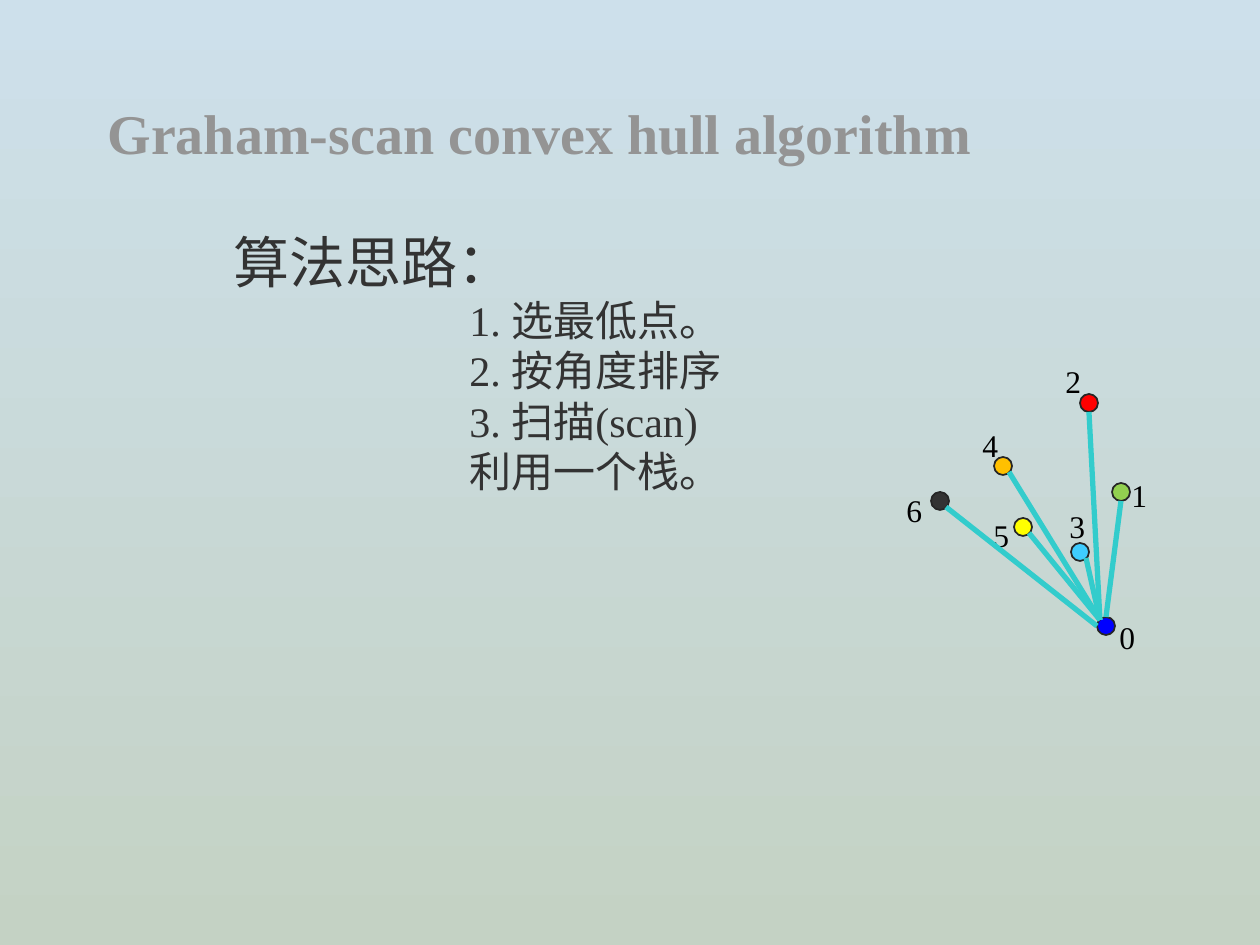
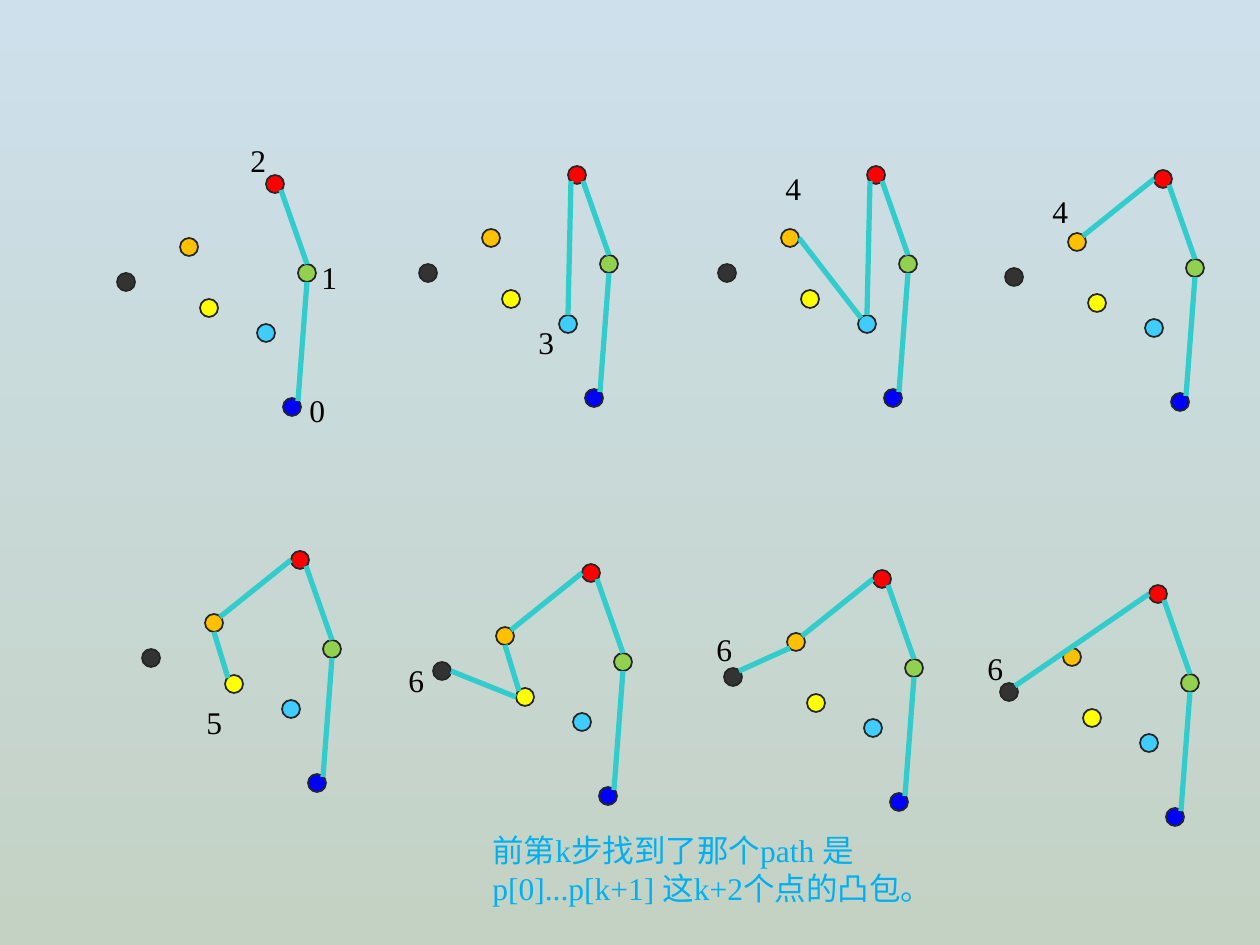
from pptx import Presentation, util as u
from pptx.dml.color import RGBColor
from pptx.enum import shapes, text
from pptx.oxml.ns import qn
from lxml import etree

SKY, SAGE = RGBColor(0xCD, 0xE0, 0xEB), RGBColor(0xC4, 0xD2, 0xC4)
GREY, INK, BLACK = RGBColor(0x94, 0x94, 0x94), RGBColor(0x33, 0x33, 0x33), RGBColor(0, 0, 0)
OUTLINE, TEAL = RGBColor(0x26, 0x26, 0x26), RGBColor(0x33, 0xCC, 0xCC)
NOTE_BLUE = RGBColor(0x00, 0xB0, 0xF0)
FONT = "Times New Roman"
SCALE = 914400 / 126

DOT = 18
DOTS = [
    (166, 223, RGBColor(0x00, 0x00, 0xFF)),
    (181, 89, RGBColor(0x92, 0xD0, 0x50)),
    (149, 0, RGBColor(0xFF, 0x00, 0x00)),
    (140, 149, RGBColor(0x3F, 0xCD, 0xFF)),
    (63, 63, RGBColor(0xFF, 0xC0, 0x00)),
    (83, 124, RGBColor(0xFF, 0xFF, 0x00)),
    (0, 98, INK),
]
RIM = {"t": (9, 0), "tl": (3, 3), "l": (0, 9), "bl": (3, 15),
       "b": (9, 18), "br": (15, 15), "r": (18, 9), "tr": (15, 3)}

E01, E12 = (0, "tr", 1, "b"), (1, "t", 2, "br")
E32, E34 = (3, "t", 2, "bl"), (3, "tl", 4, "r")
E42, E45 = (4, "tr", 2, "l"), (4, "b", 5, "tl")
E65, E64, E62 = (6, "r", 5, "l"), (6, "tr", 4, "bl"), (6, "tr", 2, "l")

FAN_EDGES = [(0, "t", 1, "b"), (0, "tl", 2, "b"), (0, "tl", 3, "br"),
             (0, "tl", 4, "br"), (0, "tl", 5, "br"), (0, "l", 6, "br")]
FAN_LABELS = {"0": (176, 218), "1": (188, 76), "2": (122, -38), "3": (126, 107),
              "4": (39, 26), "5": (50, 116), "6": (-37, 91)}
SCAN_STEPS = [
    (117, 175, [], {"0": (180, 210), "1": (192, 77), "2": (121, -40)}),
    (419, 166, [E32], {"3": (107, 151)}),
    (718, 166, [E32, E34], {"4": (55, -3)}),
    (1005, 170, [E42], {"4": (35, 16)}),
    (142, 551, [E42, E45], {"5": (52, 146)}),
    (433, 564, [E42, E45, E65], {"6": (-37, 91)}),
    (724, 570, [E42, E64], {"6": (-20, 54)}),
    (1000, 585, [E62], {"6": (-25, 58)}),
]
IDEAS = ["1. 选最低点。", "2. 按角度排序", "3. 扫描(scan)", "利用一个栈。"]


def px(*lengths):
    """Turn px lengths into EMU."""
    return [u.Emu(round(n * SCALE)) for n in lengths]


def style(p, size, color, bold=False):
    """Format the font of a paragraph."""
    for name, value in {"name": FONT, "size": u.Pt(size), "bold": bold}.items():
        setattr(p.font, name, value)
    p.font.color.rgb = color


def add_text(s, box, lines, size, color):
    """Add a wrapping text box and return its paragraphs."""
    tf = s.shapes.add_textbox(*px(*box)).text_frame
    tf.word_wrap = True
    tf.text = "\n".join(lines)
    for p in tf.paragraphs:
        style(p, size, color)
    return tf.paragraphs


def add_edge(s, x, y, start, start_rim, end, end_rim):
    """Draw a line between the rims of two dots."""
    ends = []
    for index, rim in ((start, start_rim), (end, end_rim)):
        ends += [x + DOTS[index][0] + RIM[rim][0], y + DOTS[index][1] + RIM[rim][1]]
    line = s.shapes.add_connector(shapes.MSO_CONNECTOR.STRAIGHT, *px(*ends))
    line.line.color.rgb = TEAL
    line.line.width = u.Pt(3)
    etree.SubElement(line._element.spPr, qn("a:effectLst"))


def add_points(s, x, y, edges, labels):
    """Draw the seven points with their labels and edges."""
    for dx, dy, color in DOTS:
        sp = s.shapes.add_shape(shapes.MSO_SHAPE.OVAL, *px(x + dx, y + dy, DOT, DOT))
        sp.shadow.inherit = False
        sp.fill.solid()
        sp.fill.fore_color.rgb = color
        sp.line.color.rgb = OUTLINE
        sp.line.width = u.Pt(1)
    for label, (dx, dy) in labels.items():
        add_text(s, (x + dx, y + dy, 76, 50), [label], 18, BLACK)
    for edge in edges:
        add_edge(s, x, y, *edge)


def set_title(s, box, wording):
    """Place and format the title placeholder."""
    sp = s.shapes.title
    sp.left, sp.top, sp.width, sp.height = px(*box)
    tf = sp.text_frame
    tf.text = wording
    for name, value in {"auto_size": text.MSO_AUTO_SIZE.NONE, "word_wrap": True,
                        "vertical_anchor": text.MSO_ANCHOR.TOP}.items():
        setattr(tf, name, value)
    p = tf.paragraphs[0]
    p.alignment = text.PP_ALIGN.LEFT
    style(p, 32, GREY, bold=True)


def add_ideas(s, x, y, w, h):
    """Write the heading and its indented steps."""
    heading, *steps = add_text(s, (x, y, w, h), ["算法思路：", *IDEAS], 24, INK)
    style(heading, 32, INK)
    heading.line_spacing = u.Pt(38.4)
    for p in steps:
        p.line_spacing = u.Pt(28.8)
        p._p.get_or_add_pPr().set("marL", str(px(236)[0]))


def build_idea_slide(prs):
    """Build the slide with the idea of the algorithm."""
    s = prs.slides.add_slide(prs.slide_layouts[5])
    set_title(s, (95, 92, 1071, 77), "Graham-scan convex hull algorithm")
    add_ideas(s, 221, 221, 660, 290)
    add_points(s, 931, 394, FAN_EDGES, FAN_LABELS)


def build_scan_slide(prs):
    """Build the slide with the eight scan steps."""
    s = prs.slides.add_slide(prs.slide_layouts[6])
    for x, y, edges, labels in SCAN_STEPS:
        add_points(s, x, y, [E01, E12] + edges, labels)
    add_text(s, (480, 825, 576, 89),
             ["前第k步找到了那个path 是\vp[0]...p[k+1] 这k+2个点的凸包。"], 18, NOTE_BLUE)


def set_background(prs):
    """Give the master its vertical gradient."""
    fill = prs.slide_master.background.fill
    fill.gradient()
    fill.gradient_angle = 270
    for stop, color, position in zip(fill.gradient_stops, (SKY, SAGE), (0, 1)):
        stop.color.rgb = color
        stop.position = position


def main():
    """Build and save the presentation."""
    prs = Presentation()
    prs.slide_width, prs.slide_height = px(1260, 945)
    set_background(prs)
    build_idea_slide(prs)
    build_scan_slide(prs)
    prs.save("out.pptx")


if __name__ == "__main__":
    main()
